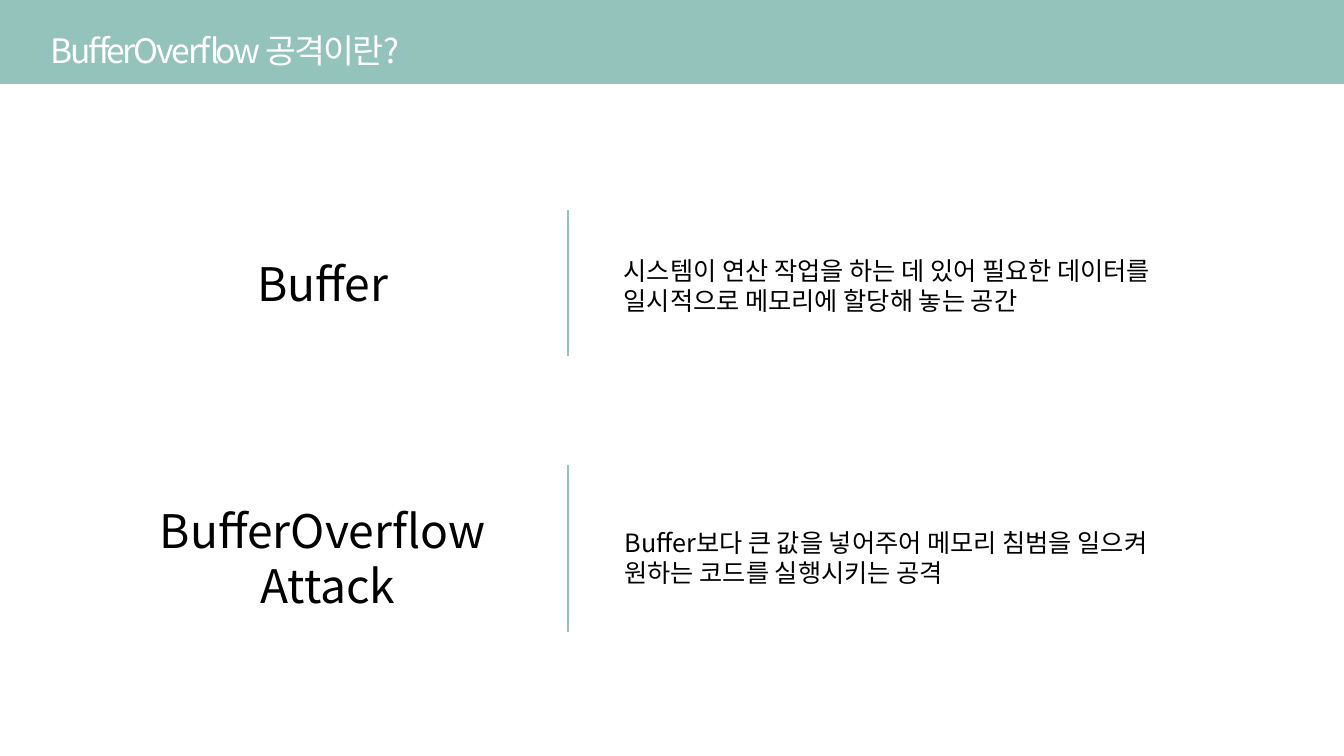
from dataclasses import dataclass

from lxml.etree import SubElement
from pptx import Presentation
from pptx.dml.color import RGBColor
from pptx.enum.shapes import MSO_CONNECTOR, MSO_SHAPE
from pptx.enum.text import MSO_AUTO_SIZE, PP_ALIGN
from pptx.oxml.ns import qn
from pptx.util import Pt


@dataclass(frozen=True)
class Theme:
    font: str = "Noto Sans CJK KR"
    mint: RGBColor = RGBColor(0x94, 0xC3, 0xBB)
    white: RGBColor = RGBColor(255, 255, 255)
    black: RGBColor = RGBColor(0, 0, 0)
    title_size: float = 24
    term_size: float = 33
    body_size: float = 18
    rule_width: float = 1.5


def write_text(frame, text, *, font, size, color, align=PP_ALIGN.LEFT, tracking=0):
    """Fill the frame, one paragraph per line; tracking is in points."""
    for index, line in enumerate(text.split("\n")):
        para = frame.add_paragraph() if index else frame.paragraphs[0]
        para.alignment = align
        span = para.add_run()
        span.text = line
        span.font.name = font
        span.font.size = Pt(size)
        span.font.color.rgb = color
        properties = span.font._element
        SubElement(properties, qn("a:ea")).set("typeface", font)
        if tracking:
            properties.set("spc", str(round(tracking * 100)))


class SlideBuilder:
    def __init__(self, page, theme):
        self.page = page
        self.theme = theme

    def background(self, color):
        fill = self.page.background.fill
        fill.solid()
        fill.fore_color.rgb = color

    def panel(self, left, top, width, height, color):
        box = self.page.shapes.add_shape(
            MSO_SHAPE.RECTANGLE, Pt(left), Pt(top), Pt(width), Pt(height))
        box.shadow.inherit = False
        box.fill.solid()
        box.fill.fore_color.rgb = color
        box.line.fill.background()

    def text(self, left, top, width, height, text, *, wrap=True, **style):
        box = self.page.shapes.add_textbox(Pt(left), Pt(top), Pt(width), Pt(height))
        box.text_frame.word_wrap = wrap
        box.text_frame.auto_size = MSO_AUTO_SIZE.SHAPE_TO_FIT_TEXT
        write_text(box.text_frame, text, font=self.theme.font, **style)

    def vertical_rule(self, x, top, bottom):
        rule = self.page.shapes.add_connector(
            MSO_CONNECTOR.STRAIGHT, Pt(x), Pt(top), Pt(x), Pt(bottom))
        rule.line.color.rgb = self.theme.mint
        rule.line.width = Pt(self.theme.rule_width)
        SubElement(rule._element.spPr, qn("a:effectLst"))

    def definition(self, term, term_box, rule_span, meaning, meaning_box):
        """Place a term, a vertical rule and the meaning side by side."""
        theme = self.theme
        self.text(*term_box, term, size=theme.term_size, color=theme.black,
                  align=PP_ALIGN.CENTER)
        self.vertical_rule(405.5, *rule_span)
        self.text(*meaning_box, meaning, size=theme.body_size, color=theme.black)


def main():
    theme = Theme()
    deck = Presentation()
    deck.slide_width, deck.slide_height = Pt(960), Pt(540)
    slide = SlideBuilder(deck.slides.add_slide(deck.slide_layouts[6]), theme)

    slide.background(theme.mint)
    slide.panel(0, 60, 960, 480, theme.white)
    slide.text(29, 18, 277, 35.5, "BufferOverflow 공격이란?", wrap=False,
               size=theme.title_size, color=theme.white, tracking=-1.5)
    slide.definition(
        "Buffer", (156, 178.5, 149, 46), (150, 254),
        "시스템이 연산 작업을 하는 데 있어 필요한 데이터를 일시적으로 메모리에 할당해 놓는 공간",
        (438.5, 178.5, 413.5, 51))
    slide.definition(
        "BufferOverflow \nAttack", (96, 355, 276.5, 86.5), (332.5, 451.5),
        "Buffer보다 큰 값을 넣어주어 메모리 침범을 일으켜\n원하는 코드를 실행시키는 공격",
        (439, 373, 391.5, 51))
    deck.save("out.pptx")


if __name__ == "__main__":
    main()
